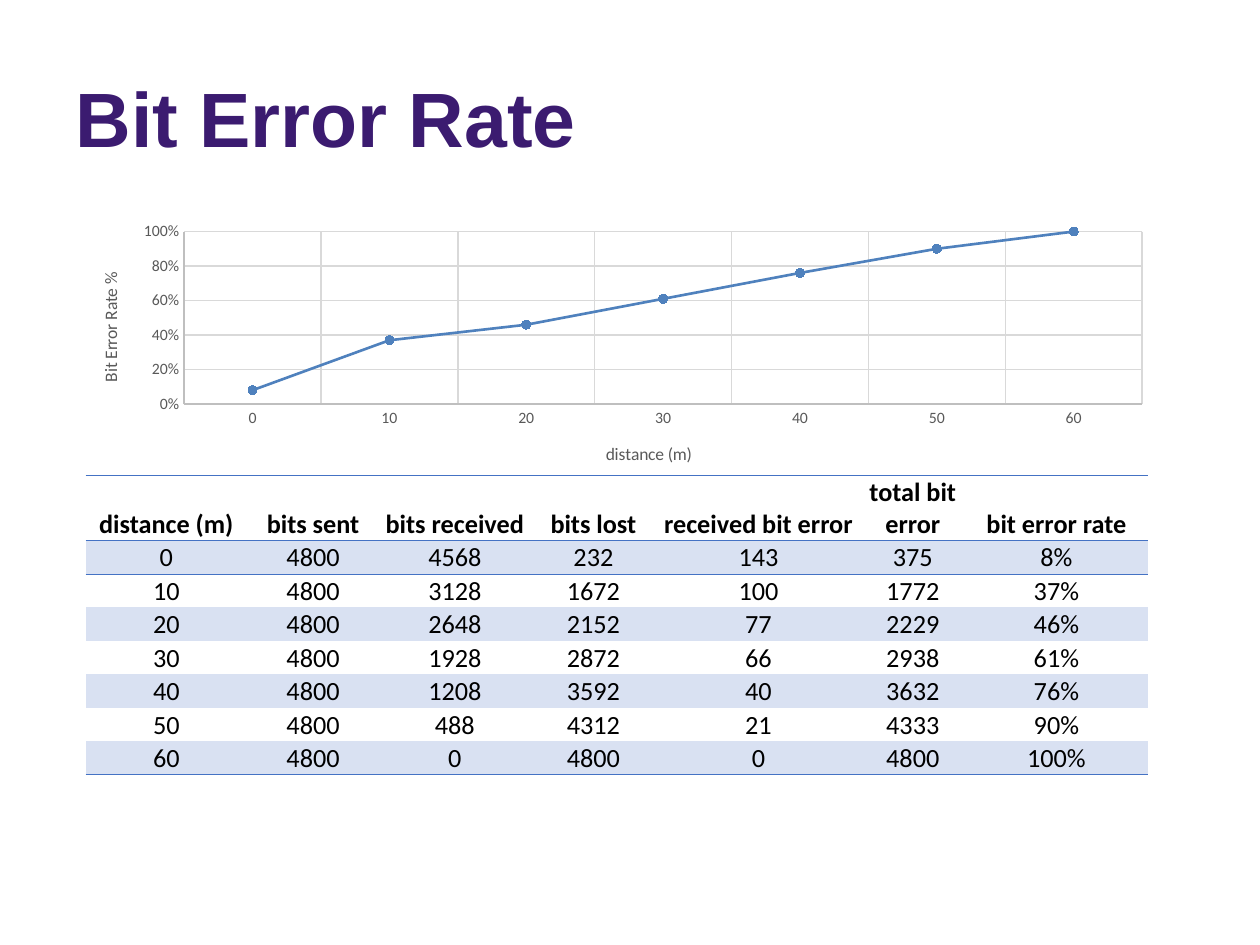
"""Build the bit error rate slide on a grid of 100 columns by 75 rows."""
from dataclasses import dataclass
from lxml.etree import SubElement as Sub
from pptx import Presentation
from pptx.chart.data import CategoryChartData as Data
from pptx.dml.color import RGBColor as RGB
from pptx.enum.chart import XL_CHART_TYPE as Kind, XL_MARKER_STYLE as Mark
from pptx.enum.chart import XL_TICK_MARK as Tick
from pptx.enum.text import MSO_ANCHOR as Anchor, PP_ALIGN as Align
from pptx.oxml import parse_xml as to_xml
from pptx.oxml.ns import nsdecls, qn
from pptx.util import Inches, Pt

UNIT = Inches(10) // 100
SENT = 4800
HEADS = ("distance (m)", "bits sent", "bits received", "bits lost",
         "received bit error", "total bit error", "bit error rate")
WIDTHS = (12.8, 10.5, 12, 10, 16.2, 8.3, 14.5)
HEAD_ROW, BODY_ROW = 5.1, 2.6
PLAIN = "{2D5ABB26-0587-4C30-8999-92F81FD0307C}"


@dataclass(frozen=True)
class Box:
    """A place on the slide in grid columns and rows."""
    left: float
    top: float
    width: float
    height: float

    def size(self) -> list[int]:
        """Return left, top, width and height as lengths."""
        return [grid(n) for n in (self.left, self.top, self.width, self.height)]


@dataclass(frozen=True)
class Trial:
    """One measurement of the link at a given distance."""
    dist: int
    got: int
    wrong: int

    @property
    def lost(self) -> int:
        """Return the number of bits that never arrived."""
        return SENT - self.got

    @property
    def total(self) -> int:
        """Return lost bits plus wrong bits."""
        return self.lost + self.wrong

    @property
    def rate(self) -> float:
        """Return the share of bits in error, to whole percents."""
        return round(self.total / SENT, 2)

    def cells(self) -> list[str]:
        """Return the texts of one table row."""
        nums = (self.dist, SENT, self.got, self.lost, self.wrong, self.total)
        return [*map(str, nums), f"{self.rate:.0%}"]


@dataclass(frozen=True)
class Name:
    """An axis title and its place as shares of the chart."""
    text: str
    left: float
    top: float


TRIALS = (Trial(0, 4568, 143), Trial(10, 3128, 100), Trial(20, 2648, 77),
          Trial(30, 1928, 66), Trial(40, 1208, 40), Trial(50, 488, 21),
          Trial(60, 0, 0))


def grid(num: float) -> int:
    """Turn grid units into a length."""
    return round(num * UNIT)


def paint(part, tone: str) -> None:
    """Give a fill one solid colour."""
    part.solid()
    part.fore_color.rgb = RGB.from_string(tone)


def style(font, size: float, tone: str, face: str = "Calibri",
          bold: bool = False) -> None:
    """Set the look of a font."""
    font.size, font.name, font.bold = Pt(size), face, bold
    font.color.rgb = RGB.from_string(tone)


def stroke(line, tone: str, width: float) -> None:
    """Set the colour and width of a line."""
    paint(line.fill, tone)
    line.width = Pt(width)


def place(node, **vals: object) -> None:
    """Give a chart part a manual layout."""
    old = node.find(qn("c:layout"))
    if old is not None:
        node.remove(old)
    lay = to_xml(f"<c:layout {nsdecls('c')}/>")
    man = Sub(lay, qn("c:manualLayout"))
    for key, val in vals.items():
        Sub(man, qn(f"c:{key}")).set("val", str(val))
    text = node.find(qn("c:tx"))
    node.insert(0 if text is None else 1, lay)


def rule(cell, sides: str) -> None:
    """Draw thin lines on the named sides of a cell."""
    props = cell._tc.get_or_add_tcPr()
    for spot, side in enumerate(sides):
        props.insert(spot, to_xml(
            f'<a:ln{side} {nsdecls("a")} w="{Pt(0.5)}"><a:solidFill>'
            f'<a:srgbClr val="4472C4"/></a:solidFill></a:ln{side}>'))


def fill_cell(cell, text: str, row: int) -> None:
    """Write and format one table cell."""
    cell.text = text
    cell.vertical_anchor = Anchor.BOTTOM
    cell.margin_left = cell.margin_right = cell.margin_top = Inches(0.01)
    cell.margin_bottom = 0
    para = cell.text_frame.paragraphs[0]
    para.alignment = Align.CENTER
    style(para.runs[0].font, 15, "000000", bold=row == 0)
    if row % 2:
        paint(cell.fill, "D9E1F2")
    else:
        cell.fill.background()
    rule(cell, {0: "TB", 1: "T", len(TRIALS): "B"}.get(row, ""))


def add_title(slide, box: Box, text: str) -> None:
    """Write the slide title."""
    head = slide.shapes.title
    head.left, head.top, head.width, head.height = box.size()
    head.text_frame.text = text
    head.text_frame.vertical_anchor = Anchor.MIDDLE
    para = head.text_frame.paragraphs[0]
    para.alignment = Align.LEFT
    style(para.runs[0].font, 44, "3B1B70", "Arial", True)


def add_table(slide, box: Box) -> None:
    """Draw the table of trials."""
    rows = [HEADS, *(trial.cells() for trial in TRIALS)]
    table = slide.shapes.add_table(len(rows), len(HEADS), *box.size()).table
    table.horz_banding = False
    table._tbl.tblPr.find(qn("a:tableStyleId")).text = PLAIN
    for col, width in zip(table.columns, WIDTHS):
        col.width = grid(width)
    for num, texts in enumerate(rows):
        table.rows[num].height = grid(BODY_ROW if num else HEAD_ROW)
        for col, text in enumerate(texts):
            fill_cell(table.cell(num, col), text, num)


def set_axis(axis, name: Name) -> None:
    """Format one chart axis with its title and grid."""
    axis.has_major_gridlines = True
    stroke(axis.major_gridlines.format.line, "D9D9D9", 0.75)
    stroke(axis.format.line, "BFBFBF", 0.75)
    axis.major_tick_mark = axis.minor_tick_mark = Tick.NONE
    style(axis.tick_labels.font, 9, "595959")
    frame = axis.axis_title.text_frame
    frame.text = name.text
    style(frame.paragraphs[0].runs[0].font, 10, "595959")
    place(axis.axis_title._element, xMode="edge", yMode="edge",
          x=name.left, y=name.top)


def add_chart(slide, box: Box) -> None:
    """Draw the line chart of error rate by distance."""
    data = Data(number_format="0%")
    data.categories = [str(trial.dist) for trial in TRIALS]
    data.add_series("Series 1", [trial.rate for trial in TRIALS])
    chart = slide.shapes.add_chart(Kind.LINE_MARKERS, *box.size(), data).chart
    chart.has_legend = chart.has_title = False
    style(chart.font, 10, "000000")
    set_axis(chart.category_axis, Name("distance (m)", 0.49, 0.83))
    axis = chart.value_axis
    set_axis(axis, Name("Bit Error Rate %", 0.03, 0.2))
    axis.minimum_scale, axis.maximum_scale, axis.major_unit = 0, 1, 0.2
    axis.tick_labels.number_format = "0%"
    axis.tick_labels.number_format_is_linked = False
    plot = chart.plots[0]
    plot.vary_by_categories = False
    line = plot.series[0]
    line.smooth = False
    stroke(line.format.line, "4F81BD", 1.5)
    line.marker.style, line.marker.size = Mark.CIRCLE, 5
    paint(line.marker.format.fill, "4F81BD")
    stroke(line.marker.format.line, "4F81BD", 0.75)
    place(chart._chartSpace.chart.plotArea, layoutTarget="inner",
          xMode="edge", yMode="edge", x=0.11, y=0.06, w=0.87, h=0.64)


def main() -> None:
    """Build and save the slide."""
    deck = Presentation()
    deck.slide_width, deck.slide_height = grid(100), grid(75)
    slide = deck.slides.add_slide(deck.slide_layouts[5])
    add_title(slide, Box(5, 3, 90, 12.5), "Bit Error Rate")
    add_table(slide, Box(6.8, 37.7, 84.2, 23.3))
    add_chart(slide, Box(5, 17.1, 87.4, 21.4))
    deck.save("out.pptx")


if __name__ == "__main__":
    main()
